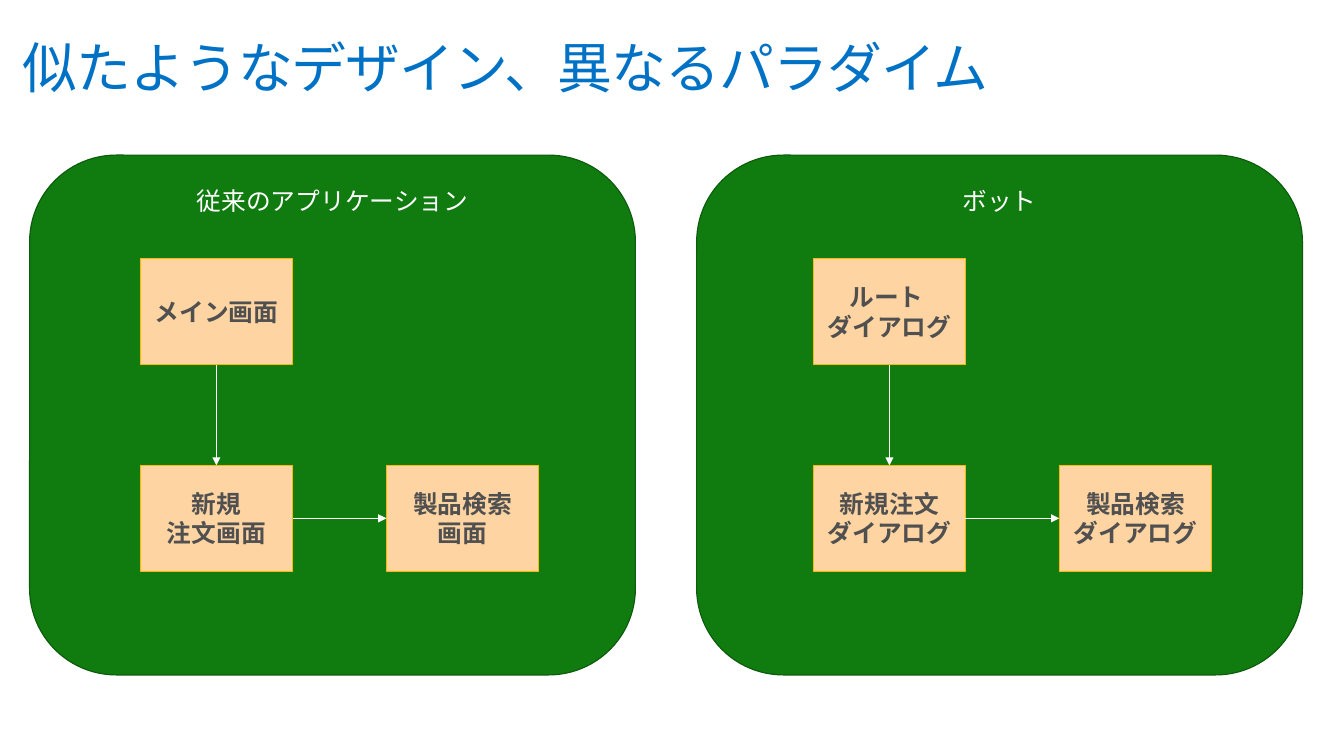
from dataclasses import dataclass

from pptx import Presentation
from pptx.dml.color import RGBColor
from pptx.enum.shapes import MSO_CONNECTOR, MSO_SHAPE
from pptx.enum.text import MSO_ANCHOR as Anchor, MSO_AUTO_SIZE, PP_ALIGN as Align
from pptx.oxml.ns import qn
from pptx.util import Inches, Pt


@dataclass(frozen=True)
class Theme:
    """Colours, font and type sizes of the slide."""
    font: str = "Noto Sans CJK JP"
    title: str = "0072C6"
    panel: str = "107C10"
    panel_edge: str = "0C5C0C"
    step: str = "FED5A2"
    step_edge: str = "FEB900"
    step_text: str = "505050"
    white: str = "FFFFFF"
    title_size: float = 40
    body_size: float = 18


THEME = Theme()
STEP_WIDTH, STEP_HEIGHT = 1.54, 1.07


def write_text(shape, text, *, color, size=THEME.body_size, bold=False, align=Align.CENTER,
               anchor=Anchor.MIDDLE, inset=None, line_spacing=None, tracking=None):
    """Put one formatted paragraph into a shape."""
    frame = shape.text_frame
    frame.word_wrap = True
    frame.auto_size = MSO_AUTO_SIZE.NONE
    frame.vertical_anchor = anchor
    if inset is not None:
        frame.margin_left = frame.margin_right = Inches(inset)
        frame.margin_top = frame.margin_bottom = Inches(inset)
    para = frame.paragraphs[0]
    para.text = text
    para.alignment = align
    if line_spacing:
        para.line_spacing = line_spacing
    for span in para.runs:
        span.font.size = Pt(size)
        span.font.bold = bold
        span.font.color.rgb = RGBColor.from_string(color)
        span.font.name = THEME.font
        properties = span.font._element
        properties.get_or_add_latin().addnext(
            properties.makeelement(qn("a:ea"), {"typeface": THEME.font}))
        if tracking is not None:
            properties.set("spc", str(round(tracking * 100)))


def add_block(group, kind, left, top, width, height, *, fill, edge, edge_width):
    """Add a filled and outlined shape."""
    block = group.shapes.add_shape(
        kind, Inches(left), Inches(top), Inches(width), Inches(height))
    block.shadow.inherit = False
    block.fill.solid()
    block.fill.fore_color.rgb = RGBColor.from_string(fill)
    block.line.color.rgb = RGBColor.from_string(edge)
    block.line.width = Pt(edge_width)
    return block


def add_step(group, left, top, label):
    """Add one labelled step of a flow."""
    step = add_block(group, MSO_SHAPE.RECTANGLE, left, top, STEP_WIDTH, STEP_HEIGHT,
                     fill=THEME.step, edge=THEME.step_edge, edge_width=0.75)
    write_text(step, label, color=THEME.step_text, bold=True)
    return step


def add_arrow(group, source, source_site, target, target_site):
    """Join two steps with a white arrow."""
    arrow = group.shapes.add_connector(MSO_CONNECTOR.STRAIGHT, 0, 0, 0, 0)
    arrow.begin_connect(source, source_site)
    arrow.end_connect(target, target_site)
    arrow.line.color.rgb = RGBColor.from_string(THEME.white)
    arrow.line.width = Pt(0.75)
    outline = arrow.line._get_or_add_ln()
    outline.append(outline.makeelement(qn("a:tailEnd"), {"type": "triangle"}))
    properties = arrow._element.spPr
    properties.append(properties.makeelement(qn("a:effectLst"), {}))


def add_title(page, left, top, width, height, text):
    """Place and format the slide title."""
    title = page.shapes.title
    title.left, title.top = Inches(left), Inches(top)
    title.width, title.height = Inches(width), Inches(height)
    write_text(title, text, color=THEME.title, size=THEME.title_size, align=Align.LEFT,
               anchor=Anchor.TOP, inset=0.1, line_spacing=0.9, tracking=-0.7)


def add_flow_panel(page, left, top, width, height, *, heading, labels, indent):
    """Add a panel with a step leading down and then right."""
    group = page.shapes.add_group_shape()
    panel = add_block(group, MSO_SHAPE.ROUNDED_RECTANGLE, left, top, width, height,
                      fill=THEME.panel, edge=THEME.panel_edge, edge_width=0.85)
    write_text(panel, heading, color=THEME.white, anchor=Anchor.TOP)
    near, far = left + indent, left + indent + 2.49
    upper, lower = top + 1.05, top + 3.14
    places = [(near, upper), (near, lower), (far, lower)]
    start, order, search = [
        add_step(group, *place, label) for place, label in zip(places, labels)]
    add_arrow(group, start, 2, order, 0)
    add_arrow(group, order, 3, search, 1)


def main():
    """Build and save the deck."""
    deck = Presentation()
    deck.slide_width, deck.slide_height = Inches(13.6), Inches(7.65)
    page = deck.slides.add_slide(deck.slide_layouts[5])
    add_title(page, 0.13, 0.32, 13, 1, "似たようなデザイン、異なるパラダイム")
    add_flow_panel(page, 0.3, 1.57, 6.13, 5.26, heading="従来のアプリケーション", indent=1.12,
                   labels=["メイン画面", "新規\n注文画面", "製品検索\n画面"])
    add_flow_panel(page, 7.05, 1.57, 6.13, 5.26, heading="ボット", indent=1.18,
                   labels=["ルート \nダイアログ", "新規注文\nダイアログ", "製品検索\nダイアログ"])
    deck.save("out.pptx")


if __name__ == "__main__":
    main()
